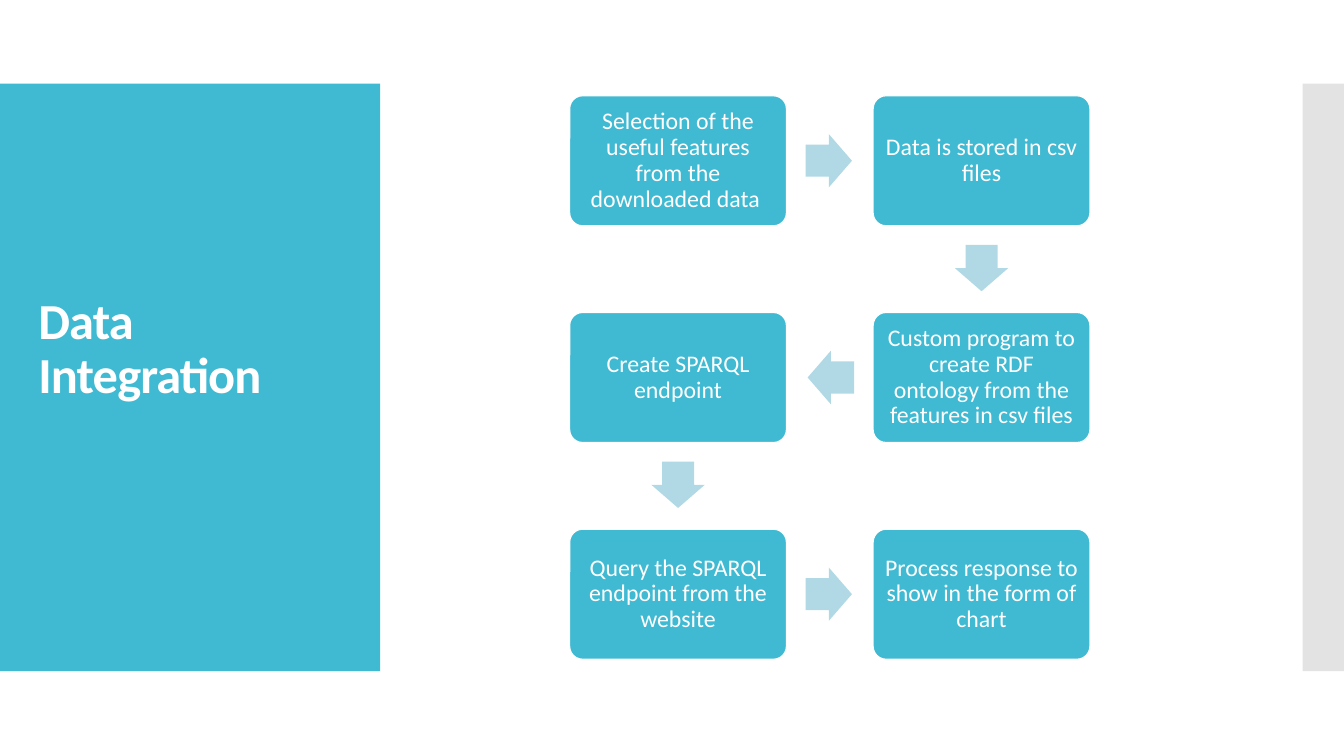
from itertools import pairwise

from pptx import Presentation
from pptx import util as u
from pptx.dml.color import RGBColor
from pptx.enum import shapes, text
from pptx.oxml.ns import qn

PX = 9144  # 100 px to the inch
THEME = {
    "font": "Calibri",
    "accent": "40BAD2",
    "arrow": "B0D9E5",
    "side": "C8C8C8",
    "white": "FFFFFF",
    "title_size": 36,
    "step_size": 17,
}


def add_block(kind, left, top, width, height, color):
    sp = s.shapes.add_shape(kind, *[int(v * PX) for v in (left, top, width, height)])
    sp.shadow.inherit = False
    sp.fill.solid()
    sp.fill.fore_color.rgb = RGBColor.from_string(THEME[color])
    sp.line.fill.background()
    return sp


def add_run(p, words, size):
    r = p.add_run()
    r.text = words
    r.font.name = THEME["font"]
    r.font.size = u.Pt(THEME[size])
    r.font.color.rgb = RGBColor.from_string(THEME["white"])
    return r


prs = Presentation()
prs.slide_width, prs.slide_height = 1333 * PX, 750 * PX
s = prs.slides.add_slide(prs.slide_layouts[5])

# Side panels
RECT = shapes.MSO_SHAPE.RECTANGLE
title_panel = add_block(RECT, 0, 83, 377, 583, "accent")
side_panel = add_block(RECT, 1292, 83, 41, 583, "side")
side_color = side_panel.fill._xPr.find(qn("a:solidFill"))[0]
side_color.makeelement(qn("a:alpha"), {"val": "50000"})
side_color.append(side_color.makeelement(qn("a:alpha"), {"val": "50000"}))

# Title, raised above the middle by its bottom inset
title = s.shapes.title
title.left, title.top, title.width, title.height = 28 * PX, 123 * PX, 322 * PX, 503 * PX
s.shapes._spTree.append(title._element)
tf = title.text_frame
tf.word_wrap = True
tf.auto_size = text.MSO_AUTO_SIZE.NONE
tf.vertical_anchor = text.MSO_ANCHOR.MIDDLE
tf.margin_bottom = 59 * PX
p = tf.paragraphs[0]
p.alignment = text.PP_ALIGN.LEFT
p.line_spacing = 0.9
r = add_run(p, "Data Integration", "title_size")
r.font.bold = True
r._r.get_or_add_rPr().set("spc", "-60")

# Steps, winding through a grid of two columns
LEFT, TOP, BOX_W, BOX_H = 565, 95, 215, 129
COL_STEP, ROW_STEP = 301, 215
STEPS = [
    (0, 0, "Selection of the useful features from the downloaded data "),
    (1, 0, "Data is stored in csv files"),
    (1, 1, "Custom program to create RDF ontology from the features in csv files"),
    (0, 1, "Create SPARQL endpoint"),
    (0, 2, "Query the SPARQL endpoint from the website"),
    (1, 2, "Process response to show in the form of chart"),
]
for col, row, words in STEPS:
    box = add_block(shapes.MSO_SHAPE.ROUNDED_RECTANGLE, LEFT + col * COL_STEP,
                    TOP + row * ROW_STEP, BOX_W, BOX_H, "accent")
    box.adjustments[0] = 0.1
    box.line.color.rgb = RGBColor.from_string(THEME["white"])
    box.line.width = u.Pt(0.85)
    tf = box.text_frame
    tf.word_wrap = True
    tf.vertical_anchor = text.MSO_ANCHOR.MIDDLE
    tf.margin_left = tf.margin_right = tf.margin_top = tf.margin_bottom = 7 * PX
    p = tf.paragraphs[0]
    p.alignment = text.PP_ALIGN.CENTER
    p.line_spacing = 0.9
    add_run(p, words, "step_size")

# Arrows between consecutive steps, set slightly towards the earlier one
ARROW_W, ARROW_H, SETBACK = 46, 53, 1
ANGLES = {(1, 0): 0, (0, 1): 90, (-1, 0): 180}
for (col, row, _), (next_col, next_row, _) in pairwise(STEPS):
    dx, dy = next_col - col, next_row - row
    center_x = LEFT + BOX_W / 2 + (col + next_col) / 2 * COL_STEP - dx * SETBACK
    center_y = TOP + BOX_H / 2 + (row + next_row) / 2 * ROW_STEP - dy * SETBACK
    arrow = add_block(shapes.MSO_SHAPE.RIGHT_ARROW, center_x - ARROW_W / 2,
                      center_y - ARROW_H / 2, ARROW_W, ARROW_H, "arrow")
    arrow.adjustments[0] = 0.6
    arrow.adjustments[1] = 0.5
    arrow.rotation = ANGLES[dx, dy]

prs.save("out.pptx")
